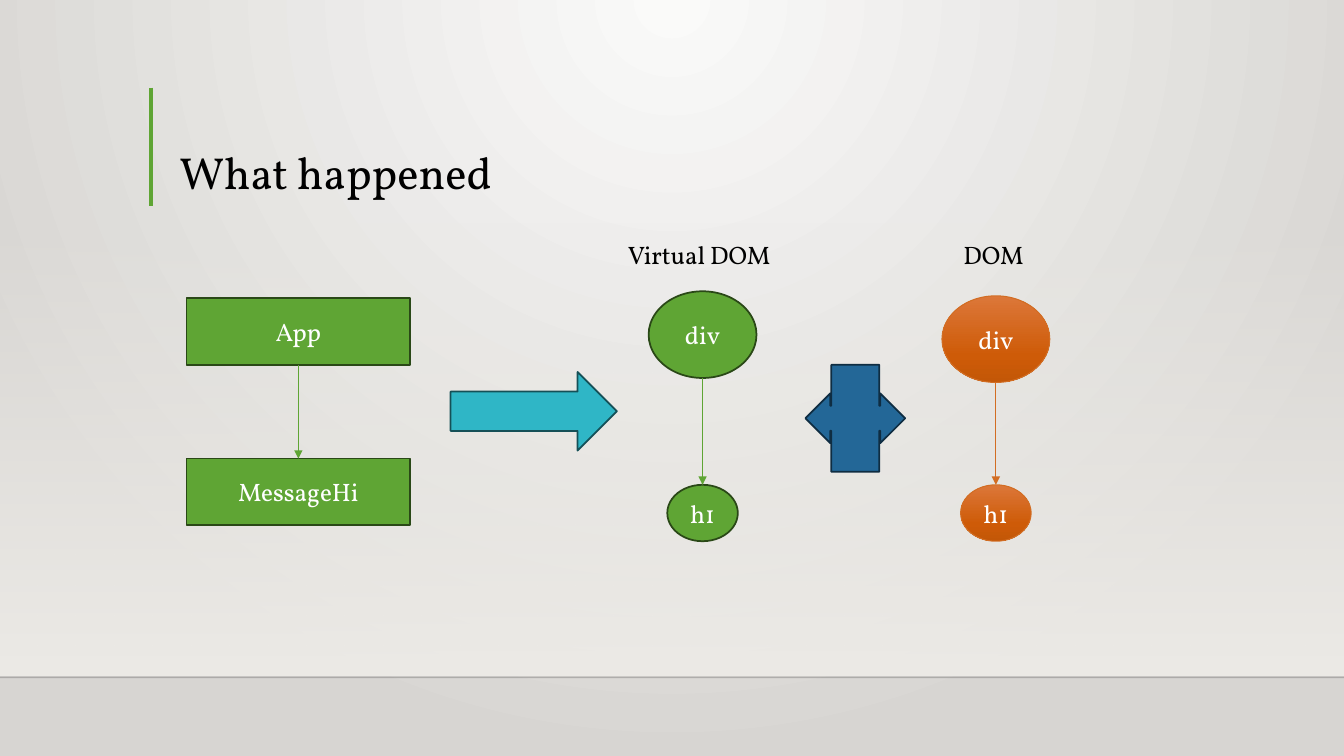
from lxml.etree import SubElement
from pptx import Presentation
from pptx.dml.color import RGBColor
from pptx.enum.shapes import MSO_CONNECTOR, MSO_SHAPE
from pptx.enum.text import MSO_ANCHOR, MSO_AUTO_SIZE, PP_ALIGN
from pptx.oxml.ns import qn
from pptx.util import Inches, Pt

FONT = "Vollkorn"
BLACK = RGBColor(0x00, 0x00, 0x00)
WHITE = RGBColor(0xFF, 0xFF, 0xFF)
GREEN = RGBColor(0x5F, 0xA5, 0x34)
DARK_GREEN = RGBColor(0x2A, 0x48, 0x17)
ORANGE = RGBColor(0xD2, 0x6D, 0x23)
TEAL = RGBColor(0x2F, 0xB6, 0xC6)
DARK_TEAL = RGBColor(0x15, 0x50, 0x57)
BLUE = RGBColor(0x23, 0x67, 0x97)
DARK_BLUE = RGBColor(0x0F, 0x2D, 0x42)
HAIRLINE = RGBColor(0x00, 0x00, 0x01)
WALL_LIGHT = RGBColor(0xFA, 0xFA, 0xF9)
WALL_DARK = RGBColor(0xD7, 0xD5, 0xD2)
HAZE = RGBColor(0xED, 0xEB, 0xE7)

# Gradient stops: position in percent, colour, opacity in percent
WALL_STOPS = [(0, WALL_LIGHT, 100), (100, WALL_DARK, 100)]
HAZE_STOPS = [(0, HAZE, 0), (100, HAZE, 100)]
ORANGE_STOPS = [
    (0, RGBColor(0xDC, 0x77, 0x39), 100),
    (69, RGBColor(0xCE, 0x5B, 0x08), 100),
    (100, RGBColor(0xC3, 0x57, 0x07), 100),
]

# Grid of tenth-inch cells
COLUMNS, ROWS = 133.33, 75
APP_CENTRE, VIRTUAL_CENTRE, DOM_CENTRE = 29.6, 69.7, 98.8
CHILD_ROW = 48.1


def cells(*counts):
    return [Inches(count / 10) for count in counts]


def add_opacity(color_element, percent):
    SubElement(color_element, qn("a:alpha"), val=str(percent * 1000))


def set_gradient(fill, owner, stops, radial=False):
    """Fill with stops running downwards, or outwards from the top centre."""
    fill.gradient()
    gradient = owner.find(".//" + qn("a:gradFill"))
    for child in list(gradient):
        gradient.remove(child)
    stop_list = SubElement(gradient, qn("a:gsLst"))
    for position, color, opacity in stops:
        stop = SubElement(stop_list, qn("a:gs"), pos=str(position * 1000))
        color_element = SubElement(stop, qn("a:srgbClr"), val=str(color))
        if opacity < 100:
            add_opacity(color_element, opacity)
    if radial:
        path = SubElement(gradient, qn("a:path"), path="circle")
        SubElement(path, qn("a:fillToRect"), l="43000", t="0", r="43000", b="100000")
    else:
        SubElement(gradient, qn("a:lin"), ang="5400000", scaled="0")


def write(frame, text, size, color, align):
    frame.text = text
    para = frame.paragraphs[0]
    para.alignment = align
    para.font.name = FONT
    para.font.size = Pt(size)
    para.font.color.rgb = color
    return para


def add_block(slide, kind, position, fill, outline=None, weight=1.25, text=None):
    """Add a preset shape; fill is a colour or a list of gradient stops."""
    block = slide.shapes.add_shape(kind, *cells(*position))
    block.shadow.inherit = False
    if isinstance(fill, list):
        set_gradient(block.fill, block.element, fill)
    else:
        block.fill.solid()
        block.fill.fore_color.rgb = fill
    if outline is None:
        block.line.fill.background()
    else:
        block.line.color.rgb = outline
        block.line.width = Pt(weight)
    if text:
        block.text_frame.vertical_anchor = MSO_ANCHOR.MIDDLE
        write(block.text_frame, text, 18, WHITE, PP_ALIGN.CENTER)
    return block


def add_line(slide, start, end, color, weight, arrow=False, opacity=100):
    line = slide.shapes.add_connector(MSO_CONNECTOR.STRAIGHT, *cells(*start, *end))
    line.line.color.rgb = color
    line.line.width = Pt(weight)
    properties = line.element.spPr
    if opacity < 100:
        add_opacity(properties.find(".//" + qn("a:srgbClr")), opacity)
    if arrow:
        SubElement(properties.find(qn("a:ln")), qn("a:tailEnd"), type="triangle")
    SubElement(properties, qn("a:effectLst"))


def add_tree(slide, kind, centre, nodes, fill, outline, arrow_color, weight):
    """Stack a parent and a child on one centre line and join them."""
    for text, top, width, height in nodes:
        position = (centre - width / 2, top, width, height)
        add_block(slide, kind, position, fill, outline, weight, text)
    parent, child = nodes
    add_line(slide, (centre, parent[1] + parent[3]), (centre, child[1]),
             arrow_color, 0.75, arrow=True)


def add_label(slide, text, left, width):
    box = slide.shapes.add_textbox(*cells(left, 23.3, width, 4))
    box.text_frame.word_wrap = False
    box.text_frame.auto_size = MSO_AUTO_SIZE.SHAPE_TO_FIT_TEXT
    write(box.text_frame, text, 18, BLACK, PP_ALIGN.LEFT)


def add_title(slide, text):
    title = slide.shapes.title
    title.left, title.top, title.width, title.height = cells(16.8, 8.8, 104.1, 11.5)
    title.text_frame.vertical_anchor = MSO_ANCHOR.BOTTOM
    title.text_frame.auto_size = MSO_AUTO_SIZE.NONE
    write(title.text_frame, text, 32, BLACK, PP_ALIGN.LEFT).line_spacing = 0.9


def main():
    deck = Presentation()
    deck.slide_width, deck.slide_height = cells(COLUMNS, ROWS)
    slide = deck.slides.add_slide(deck.slide_layouts[5])

    # Backdrop: wall, haze and floor edge
    set_gradient(slide.background.fill, slide.element, WALL_STOPS, radial=True)
    add_block(slide, MSO_SHAPE.RECTANGLE, (0, 22, COLUMNS, 45), HAZE_STOPS)
    add_line(slide, (0, 67.2), (COLUMNS, 67.2), HAIRLINE, 1, opacity=20)

    # Title with its accent bar
    add_line(slide, (15, 8.7), (15, 20.4), GREEN, 3)
    add_title(slide, "What happened")

    # Component, virtual DOM and DOM trees
    components = [("App", 29.6, 22.2, 6.6), ("MessageHi", 45.5, 22.2, 6.6)]
    add_tree(slide, MSO_SHAPE.RECTANGLE, APP_CENTRE, components,
             GREEN, DARK_GREEN, GREEN, 1.25)
    for centre, top, fill, outline, arrow_color, weight in (
        (VIRTUAL_CENTRE, 28.9, GREEN, DARK_GREEN, GREEN, 1.25),
        (DOM_CENTRE, 29.35, ORANGE_STOPS, ORANGE, ORANGE, 0.75),
    ):
        elements = [("div", top, 10.7, 8.6), ("h1", CHILD_ROW, 7, 5.6)]
        add_tree(slide, MSO_SHAPE.OVAL, centre, elements,
                 fill, outline, arrow_color, weight)
    add_label(slide, "Virtual DOM", 61.3, 16.8)
    add_label(slide, "DOM", 94.6, 8.3)

    # Block arrows between the trees
    add_block(slide, MSO_SHAPE.RIGHT_ARROW, (44.7, 36.9, 16.5, 7.8), TEAL, DARK_TEAL)
    add_block(slide, MSO_SHAPE.LEFT_RIGHT_ARROW_CALLOUT, (79.9, 36.2, 9.9, 10.6),
              BLUE, DARK_BLUE)

    deck.save("out.pptx")


if __name__ == "__main__":
    main()
